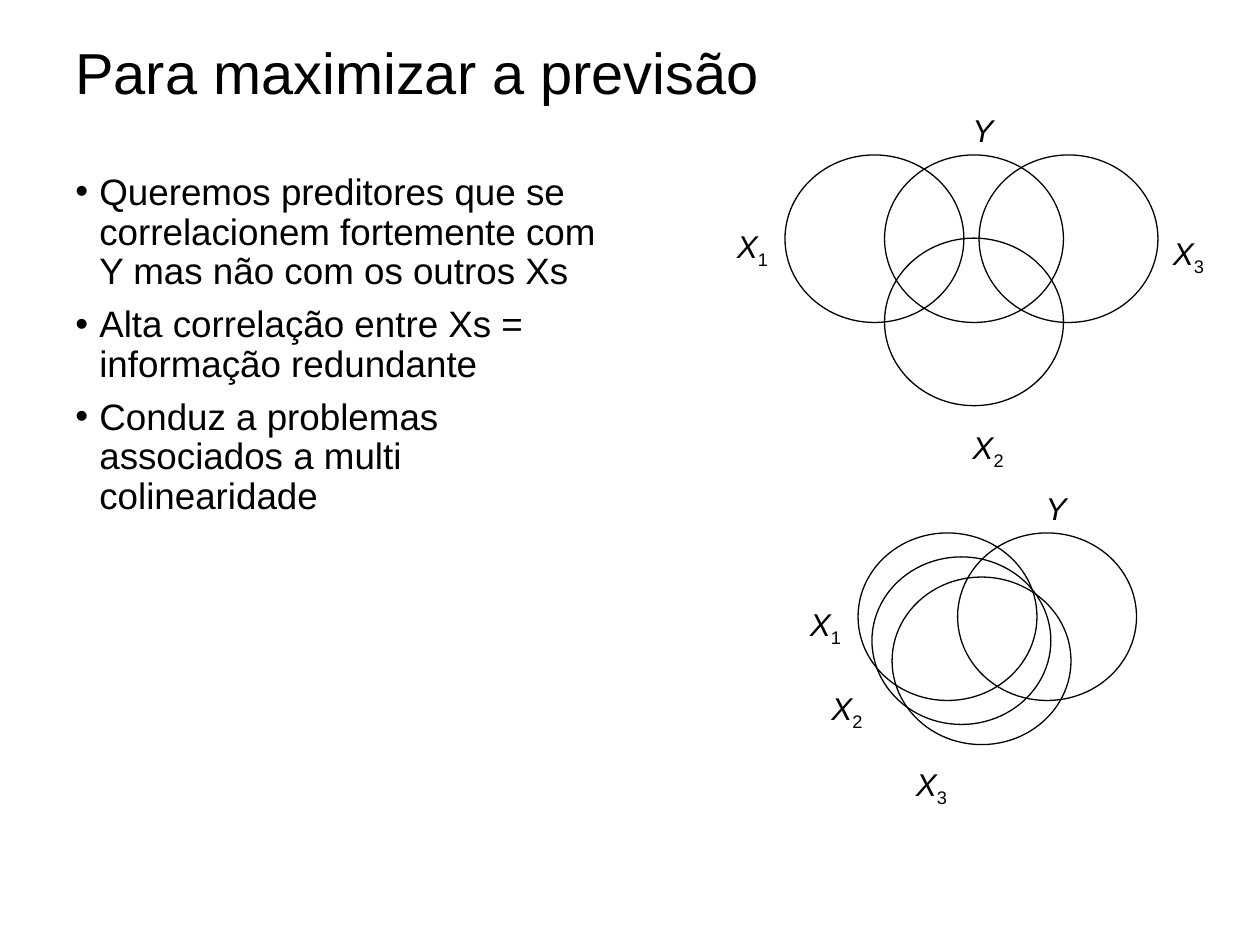
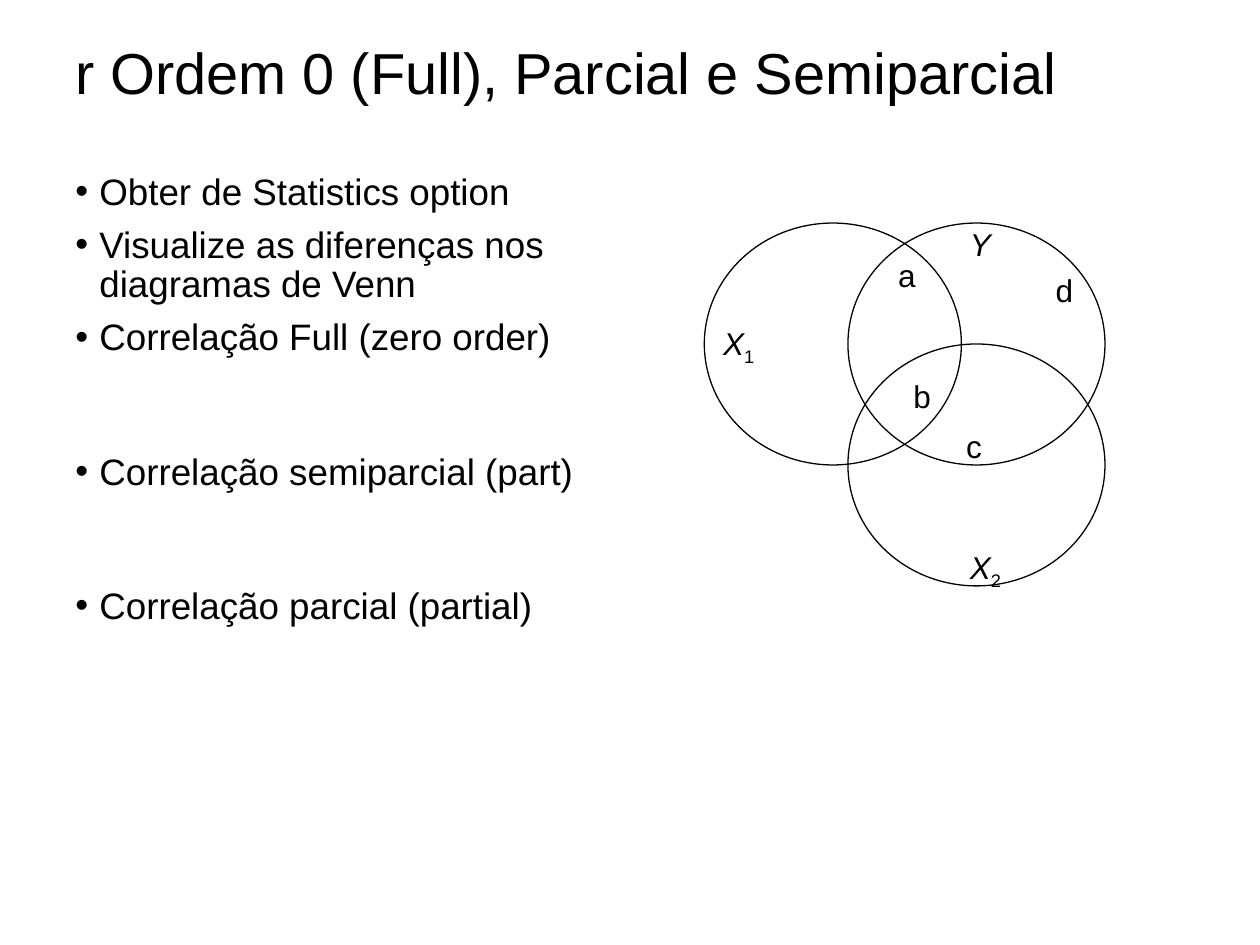
from lxml import etree
from pptx import Presentation
from pptx.dml.color import RGBColor
from pptx.enum.shapes import MSO_SHAPE
from pptx.enum.text import MSO_ANCHOR, MSO_AUTO_SIZE
from pptx.oxml.ns import qn
from pptx.util import Inches, Pt

BLACK = RGBColor(0, 0, 0)
FONT = "Arial"
ELLIPSE = MSO_SHAPE.OVAL
MIDDLE = MSO_ANCHOR.MIDDLE
GROW = MSO_AUTO_SIZE.SHAPE_TO_FIT_TEXT

LINE_SPACING = 0.9
BULLET_GAP = 7.5
WIDE_GAP = 54  # leaves room under a bullet for a formula
LABEL_HEIGHT = 0.4


class Deck:
    """Holds the shared style and the current slide."""

    def __init__(self):
        self.deck = Presentation()
        self.deck.slide_width = Inches(10)
        self.deck.slide_height = Inches(7.5)
        self.page = None

    def new_page(self, title):
        self.page = self.deck.slides.add_slide(self.deck.slide_layouts[6])
        frame = self.text_box(self.page.shapes, 0.5, 0.13, 9, 0.95)
        frame.vertical_anchor = MIDDLE
        para = frame.paragraphs[0]
        para.text = title
        para.line_spacing = LINE_SPACING
        self.style(para, 33)

    def text_box(self, shapes, left, top, width, height):
        box = shapes.add_textbox(
            Inches(left), Inches(top), Inches(width), Inches(height))
        box.text_frame.word_wrap = True
        return box.text_frame

    def style(self, para, size):
        para.font.name = FONT
        para.font.size = Pt(size)
        para.font.color.rgb = BLACK

    def bullets(self, items):
        """Each item is (text, space before in points)."""
        frame = self.text_box(self.page.shapes, 0.5, 1.33, 4.42, 5.67)
        for number, (text, gap) in enumerate(items):
            para = frame.add_paragraph() if number else frame.paragraphs[0]
            para.text = text
            para.line_spacing = LINE_SPACING
            if number:
                para.space_before = Pt(gap)
            properties = para._p.get_or_add_pPr()
            properties.set("marL", str(Inches(0.19)))
            properties.set("indent", str(-Inches(0.19)))
            etree.SubElement(properties, qn("a:buFont"), typeface=FONT)
            etree.SubElement(properties, qn("a:buChar"), char="•")
            self.style(para, 21)

    def venn(self, width, height, circles, labels):
        """Circles are (left, top); labels are (text, left, top)."""
        group = self.page.shapes.add_group_shape()
        for left, top in circles:
            self.circle(group.shapes, left, top, width, height)
        for text, left, top in labels:
            self.label(group.shapes, text, left, top)

    def circle(self, shapes, left, top, width, height):
        circle = shapes.add_shape(
            ELLIPSE, Inches(left), Inches(top), Inches(width), Inches(height))
        circle.shadow.inherit = False
        circle.fill.background()
        circle.line.color.rgb = BLACK
        circle.line.width = Pt(0.75)

    def label(self, shapes, text, left, top):
        """Variables are italic capitals; a digit after one is a subscript."""
        letter, index = text[0], text[1:]
        width = 0.46 if index else 0.37 if letter.isupper() else 0.34
        frame = self.text_box(shapes, left, top, width, LABEL_HEIGHT)
        frame.word_wrap = False
        frame.auto_size = GROW
        para = frame.paragraphs[0]
        self.style(para, 18)
        span = para.add_run()
        span.text = letter
        span.font.italic = letter.isupper()
        if index:
            span = para.add_run()
            span.text = index
            span.font.italic = False
            span.font._element.set("baseline", "-25000")


def main():
    slides = Deck()

    # Separate predictors above, overlapping predictors below
    slides.new_page("Para maximizar a previsão")
    slides.bullets([
        ("Queremos preditores que se correlacionem fortemente com Y "
         "mas não com os outros Xs", 0),
        ("Alta correlação entre Xs = informação redundante", BULLET_GAP),
        ("Conduz a problemas associados a multi colinearidade", BULLET_GAP),
    ])
    slides.venn(
        1.42, 1.33,
        [(7.02, 1.23), (6.23, 1.23), (7.02, 1.89), (7.77, 1.23)],
        [("Y", 7.62, 0.83), ("X1", 5.75, 1.75),
         ("X2", 7.62, 3.35), ("X3", 9.21, 1.81)])
    slides.venn(
        1.42, 1.33,
        [(7.6, 4.23), (6.81, 4.23), (6.92, 4.42), (7.08, 4.58)],
        [("Y", 8.2, 3.83), ("X1", 6.33, 4.75),
         ("X2", 6.5, 5.42), ("X3", 7.17, 6.02)])

    # Kinds of correlation as areas of one diagram
    slides.new_page("r Ordem 0 (Full), Parcial e Semiparcial")
    slides.bullets([
        ("Obter de Statistics option", 0),
        ("Visualize as diferenças nos diagramas de Venn", BULLET_GAP),
        ("Correlação Full (zero order)", BULLET_GAP),
        ("Correlação semiparcial (part)", WIDE_GAP),
        ("Correlação parcial (partial)", WIDE_GAP),
    ])
    slides.venn(
        2.04, 1.92,
        [(6.73, 1.77), (5.59, 1.77), (6.73, 2.73)],
        [("Y", 7.6, 1.74), ("X1", 5.64, 2.52), ("X2", 7.6, 4.3),
         ("a", 7.03, 1.98), ("b", 7.15, 2.94),
         ("c", 7.57, 3.34), ("d", 8.28, 2.1)])

    slides.deck.save("out.pptx")


if __name__ == "__main__":
    main()
